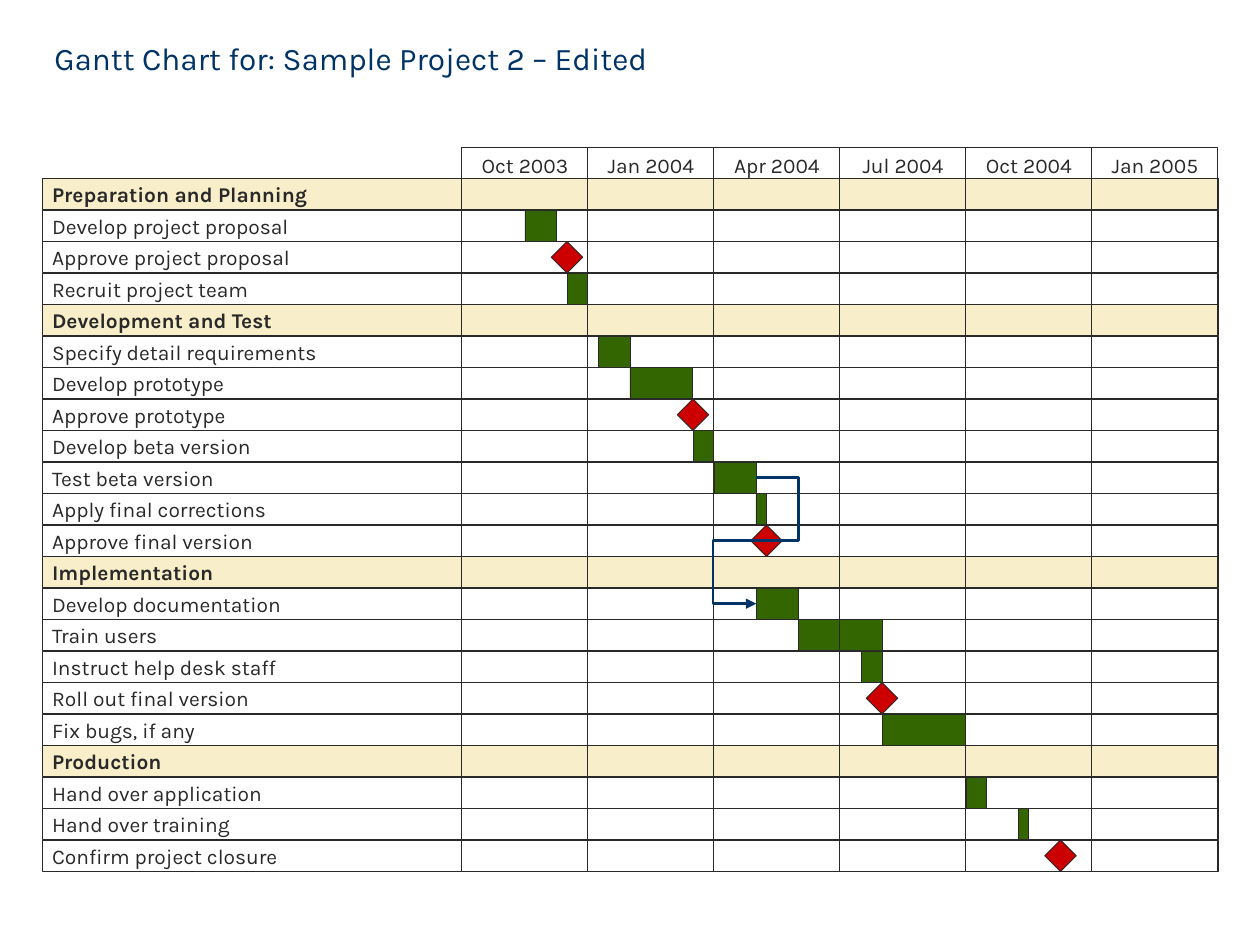
from dataclasses import dataclass

from lxml import etree
from pptx import Presentation
from pptx.dml.color import RGBColor
from pptx.enum.shapes import MSO_CONNECTOR, MSO_SHAPE
from pptx.enum.text import MSO_ANCHOR, PP_ALIGN
from pptx.oxml.ns import qn
from pptx.util import Inches, Pt

RECT, DIAMOND = MSO_SHAPE.RECTANGLE, MSO_SHAPE.DIAMOND
ELBOW = MSO_CONNECTOR.ELBOW
LEFT, CENTER = PP_ALIGN.LEFT, PP_ALIGN.CENTER
TOP, MIDDLE = MSO_ANCHOR.TOP, MSO_ANCHOR.MIDDLE

FONT = "Karla"
INK, NAVY, CREAM, GREEN, RED = "292929", "003366", "F8EFCA", "336600", "CC0000"

CHART_LEFT, CHART_WIDTH = 1 / 3, 28 / 3
ROW_TOP, ROW_HEIGHT = 17 / 12, 0.25
QUARTER_LEFT, QUARTER_WIDTH = 11 / 3, 1
HEADER_HEIGHT = 0.25
WEEK = QUARTER_WIDTH / 12
LINK_REACH, LINK_RATIO = 1 / 3, 144

QUARTERS = ["Oct 2003", "Jan 2004", "Apr 2004", "Jul 2004", "Oct 2004", "Jan 2005"]


@dataclass
class Row:
    """A chart row: a phase without a start, a milestone without weeks, or a task."""

    name: str
    start: int | None = None
    weeks: int = 0
    linked: bool = False


ROWS = [
    Row("Preparation and Planning"),
    Row("Develop project proposal", 6, 3),
    Row("Approve project proposal", 10),
    Row("Recruit project team", 10, 2),
    Row("Development and Test"),
    Row("Specify detail requirements", 13, 3),
    Row("Develop prototype", 16, 6),
    Row("Approve prototype", 22),
    Row("Develop beta version", 22, 2),
    Row("Test beta version", 24, 4, linked=True),
    Row("Apply final corrections", 28, 1),
    Row("Approve final version", 29),
    Row("Implementation"),
    Row("Develop documentation", 28, 4, linked=True),
    Row("Train users", 32, 8),
    Row("Instruct help desk staff", 38, 2),
    Row("Roll out final version", 40),
    Row("Fix bugs, if any", 40, 8),
    Row("Production"),
    Row("Hand over application", 48, 2),
    Row("Hand over training", 53, 1),
    Row("Confirm project closure", 57),
]


def rgb(value: str) -> RGBColor:
    """Turn a hex string into a colour."""
    return RGBColor.from_string(value)


def write(sp, text: str, *, size=12, color=INK, bold=False, align=LEFT,
          anchor=MIDDLE, wrap=False, insets=(0.08, 0.08, 0.08, 0.08)) -> None:
    """Write one formatted paragraph into a shape."""
    tf = sp.text_frame
    tf.word_wrap = wrap
    tf.vertical_anchor = anchor
    tf.margin_left, tf.margin_top, tf.margin_right, tf.margin_bottom = map(Inches, insets)
    p = tf.paragraphs[0]
    p.alignment = align
    r = p.add_run()
    r.text = text
    r.font.name, r.font.size, r.font.bold = FONT, Pt(size), bold
    r.font.color.rgb = rgb(color)


def add_box(s, kind, left: float, top: float, width: float, height: float,
            fill: str | None = None):
    """Add an outlined shape, filled only when a colour is given."""
    sp = s.shapes.add_shape(kind, Inches(left), Inches(top), Inches(width), Inches(height))
    sp.shadow.inherit = False
    sp.line.color.rgb = rgb(INK)
    sp.line.width = Pt(0.5)
    if fill:
        sp.fill.solid()
        sp.fill.fore_color.rgb = rgb(fill)
    else:
        sp.fill.background()
    return sp


def row_top(index: int) -> float:
    """Return the top of a row in inches."""
    return ROW_TOP + index * ROW_HEIGHT


def add_row(s, index: int, row: Row) -> None:
    """Draw the full-width band and label of a row."""
    phase = row.start is None
    sp = add_box(s, RECT, CHART_LEFT, row_top(index), CHART_WIDTH, ROW_HEIGHT,
                 CREAM if phase else None)
    write(sp, row.name, bold=phase)


def add_mark(s, index: int, row: Row):
    """Draw the bar of a task or the diamond of a milestone."""
    left = QUARTER_LEFT + row.start * WEEK
    if row.weeks:
        return add_box(s, RECT, left, row_top(index), row.weeks * WEEK, ROW_HEIGHT, GREEN)
    return add_box(s, DIAMOND, left - ROW_HEIGHT / 2, row_top(index),
                   ROW_HEIGHT, ROW_HEIGHT, RED)


def add_quarter(s, index: int, name: str) -> None:
    """Draw a quarter column with its heading."""
    sp = add_box(s, RECT, QUARTER_LEFT + index * QUARTER_WIDTH, ROW_TOP - HEADER_HEIGHT,
                 QUARTER_WIDTH, HEADER_HEIGHT + len(ROWS) * ROW_HEIGHT)
    write(sp, name, align=CENTER, anchor=TOP, insets=(0.08, 0.04, 0.08, 0.08))


def add_link(s, source, target) -> None:
    """Join two bars with a five-part elbow arrow."""
    link = s.shapes.add_connector(ELBOW, 0, 0, 0, 0)
    link.begin_connect(source, 3)
    link.end_connect(target, 1)
    link.end_x = link.begin_x + Inches(LINK_REACH / LINK_RATIO)
    link.line.color.rgb = rgb(NAVY)
    link.line.width = Pt(1.5)
    props = link.element.spPr
    geometry = props.find(qn("a:prstGeom"))
    geometry.set("prst", "bentConnector5")
    guides = geometry.find(qn("a:avLst"))
    for number, ratio in enumerate((LINK_RATIO, 0.5, -LINK_RATIO), 1):
        etree.SubElement(guides, qn("a:gd"), name=f"adj{number}",
                         fmla=f"val {int(ratio * 100000)}")
    etree.SubElement(props.find(qn("a:ln")), qn("a:tailEnd"), type="triangle")
    etree.SubElement(props, qn("a:effectLst"))


def main() -> None:
    """Build the Gantt chart slide."""
    prs = Presentation()
    prs.slide_width, prs.slide_height = Inches(10), Inches(7.5)
    s = prs.slides.add_slide(prs.slide_layouts[6])
    title = s.shapes.add_textbox(Inches(CHART_LEFT), Inches(0.17),
                                 Inches(CHART_WIDTH), Inches(0.58))
    write(title, "Gantt Chart for: Sample Project 2 – Edited", size=18, color=NAVY,
          wrap=True, insets=(0.1, 0.05, 0.1, 0.05))
    for index, row in enumerate(ROWS):
        add_row(s, index, row)
    for index, row in enumerate(ROWS):
        if row.start is not None and not row.linked:
            add_mark(s, index, row)
    for index, name in enumerate(QUARTERS):
        add_quarter(s, index, name)
    source, target = [add_mark(s, i, row) for i, row in enumerate(ROWS) if row.linked]
    add_link(s, source, target)
    prs.save("out.pptx")


if __name__ == "__main__":
    main()
